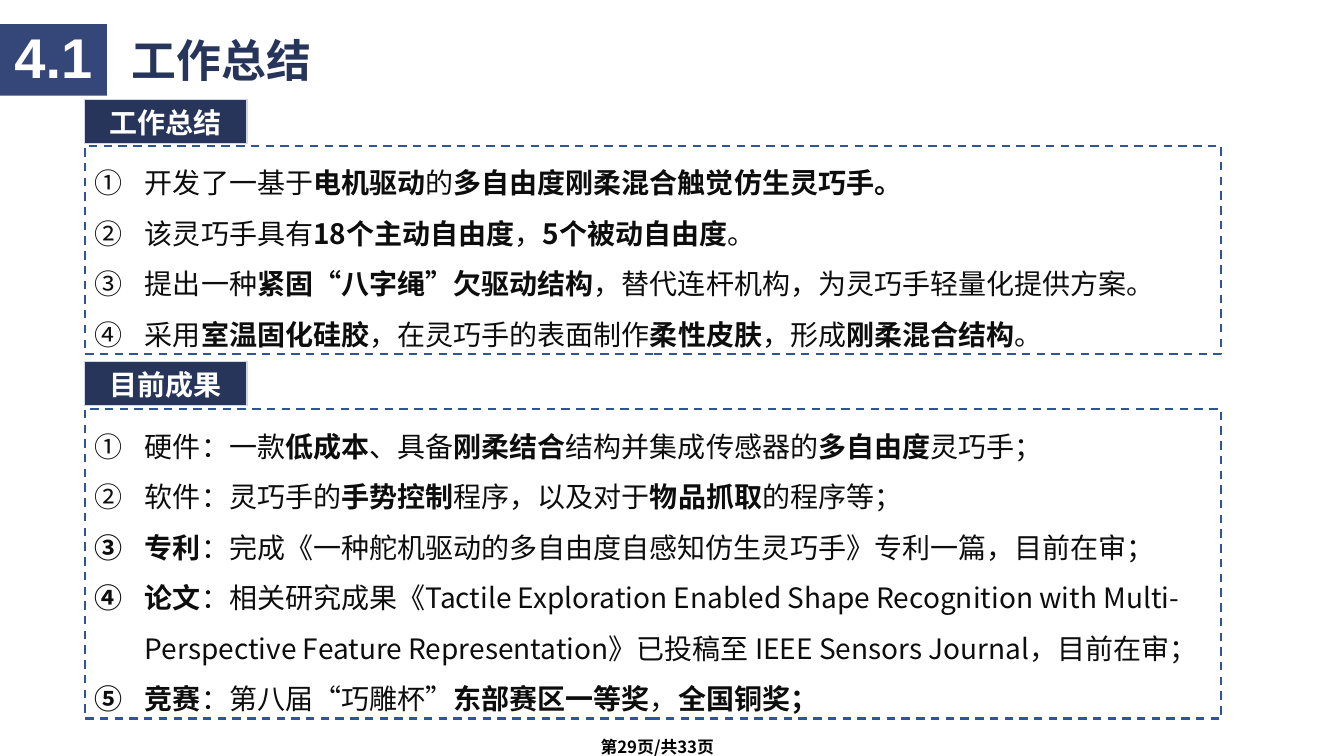
from lxml import etree
from pptx import Presentation
from pptx.dml.color import RGBColor
from pptx.enum import dml, shapes, text
from pptx.oxml import ns
from pptx.util import Pt

CHINESE = "Noto Sans CJK SC"
NAVY = "27355A"
LEFT = 60.5


def color(hex_value):
    return RGBColor.from_string(hex_value)


def add_box(place, lines, size, ink, font=CHINESE, fill=None, line=None, numbered=False, **formats):
    """Add a rectangle with text; parts between asterisks are bold."""
    shape = slide.shapes.add_shape(shapes.MSO_SHAPE.RECTANGLE, *map(Pt, place))
    shape.shadow.inherit = False
    for part, shade in ((shape.fill, fill), (shape.line.fill, line)):
        if shade:
            part.solid()
            part.fore_color.rgb = color(shade)
        else:
            part.background()
    frame = shape.text_frame
    frame.word_wrap = True
    frame.vertical_anchor = formats.pop("anchor", text.MSO_ANCHOR.MIDDLE)
    frame.auto_size = formats.pop("auto_size", text.MSO_AUTO_SIZE.NONE)
    for index, content in enumerate(lines):
        paragraph = frame.paragraphs[0] if index == 0 else frame.add_paragraph()
        for name, value in formats.items():
            setattr(paragraph, name, value)
        if numbered:
            properties = paragraph._p.get_or_add_pPr()
            properties.set("marL", str(Pt(36)))
            properties.set("indent", str(Pt(-36)))
            etree.SubElement(properties, ns.qn("a:buAutoNum"), type="circleNumDbPlain")
        for position, piece in enumerate(content.split("*")):
            if not piece:
                continue
            run = paragraph.add_run()
            run.text = piece
            run.font.color.rgb = color(ink)
            for name, value in {"size": Pt(size), "name": font, "bold": position % 2 == 1}.items():
                setattr(run.font, name, value)
            etree.SubElement(run.font._element, ns.qn("a:ea"), typeface=font)
    return shape


presentation = Presentation()
presentation.slide_width, presentation.slide_height = Pt(960), Pt(540)
slide = presentation.slides.add_slide(presentation.slide_layouts[6])

add_box((87, 17.3, 625, 51), ["*工作总结*"], 32, NAVY, alignment=text.PP_ALIGN.LEFT)
add_box((0, 17.3, 76.3, 51), ["*4.1*"], 40, "FFFFFF", font="Arial", fill="344778",
        alignment=text.PP_ALIGN.CENTER, line_spacing=0.9)

# heading, heading top, list top, list height, items
sections = [
    ("工作总结", 71.3, 104.4, 148.3, [
        "开发了一基于*电机驱动*的*多自由度刚柔混合触觉仿生灵巧手。*",
        "该灵巧手具有*18个主动自由度*，*5个被动自由度*。",
        "提出一种*紧固“八字绳”欠驱动结构*，替代连杆机构，为灵巧手轻量化提供方案。",
        "采用*室温固化硅胶*，在灵巧手的表面制作*柔性皮肤*，形成*刚柔混合结构*。",
    ]),
    ("目前成果", 258.5, 292.3, 221, [
        "硬件：一款*低成本*、具备*刚柔结合*结构并集成传感器的*多自由度*灵巧手；",
        "软件：灵巧手的*手势控制*程序，以及对于*物品抓取*的程序等；",
        "*专利*：完成《一种舵机驱动的多自由度自感知仿生灵巧手》专利一篇，目前在审；",
        "*论文*：相关研究成果《Tactile Exploration Enabled Shape Recognition with "
        "Multi-Perspective Feature Representation》已投稿至 IEEE Sensors Journal，目前在审；",
        "*竞赛*：第八届“巧雕杯”*东部赛区一等奖*，*全国铜奖；*",
    ]),
]
for heading, heading_top, list_top, list_height, items in sections:
    tab = add_box((LEFT, heading_top, 116, 31.5), [f"*{heading}*"], 20, "FFFFFF", fill=NAVY,
                  line="D0D7EB", alignment=text.PP_ALIGN.CENTER,
                  auto_size=text.MSO_AUTO_SIZE.SHAPE_TO_FIT_TEXT)
    tab.line.width = Pt(0.75)
    panel = add_box((LEFT, list_top, 812, list_height), items, 20, "0D0D0D", line="2F5597",
                    numbered=True, alignment=text.PP_ALIGN.LEFT, line_spacing=1.5,
                    auto_size=text.MSO_AUTO_SIZE.SHAPE_TO_FIT_TEXT)
    panel.line.width = Pt(1.5)
    panel.line.dash_style = dml.MSO_LINE.DASH

add_box((361.5, 522.7, 216, 29), ["*第29页/共33页*"], 12, "000000",
        anchor=text.MSO_ANCHOR.TOP, alignment=text.PP_ALIGN.CENTER)

presentation.save("out.pptx")
